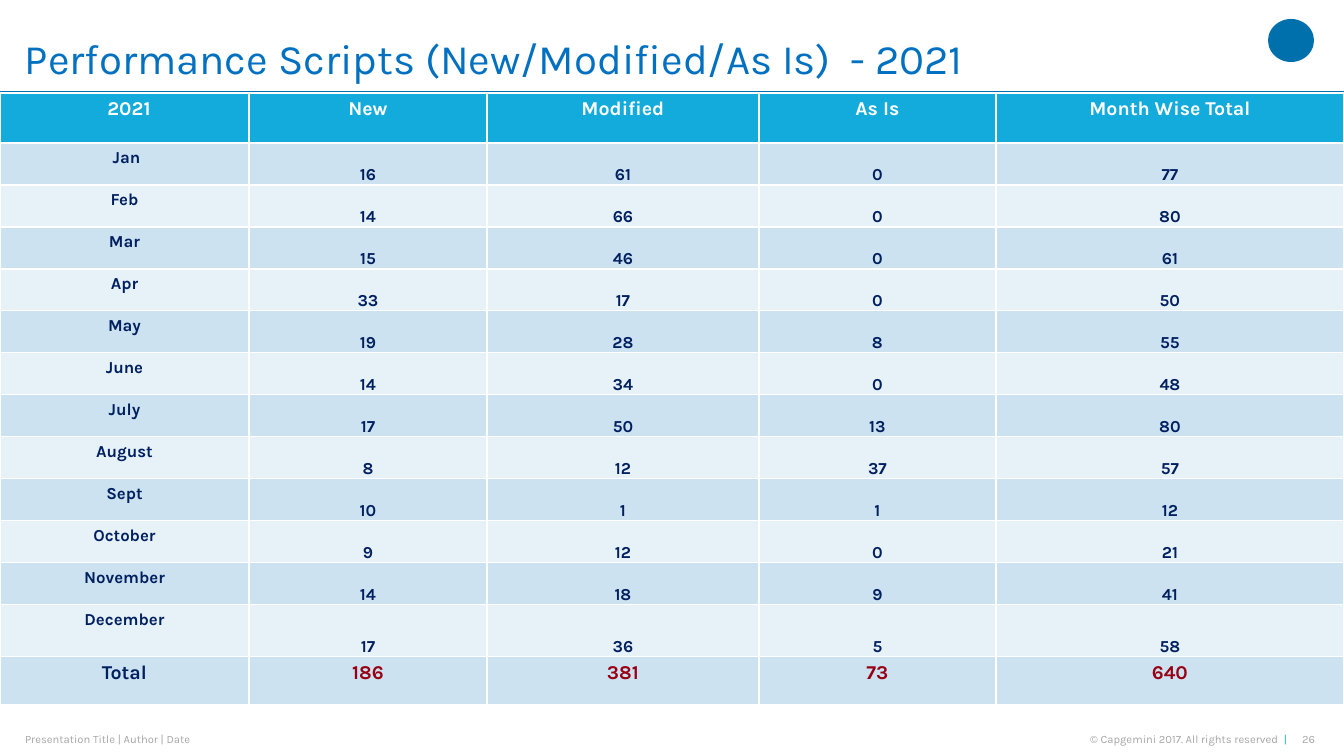
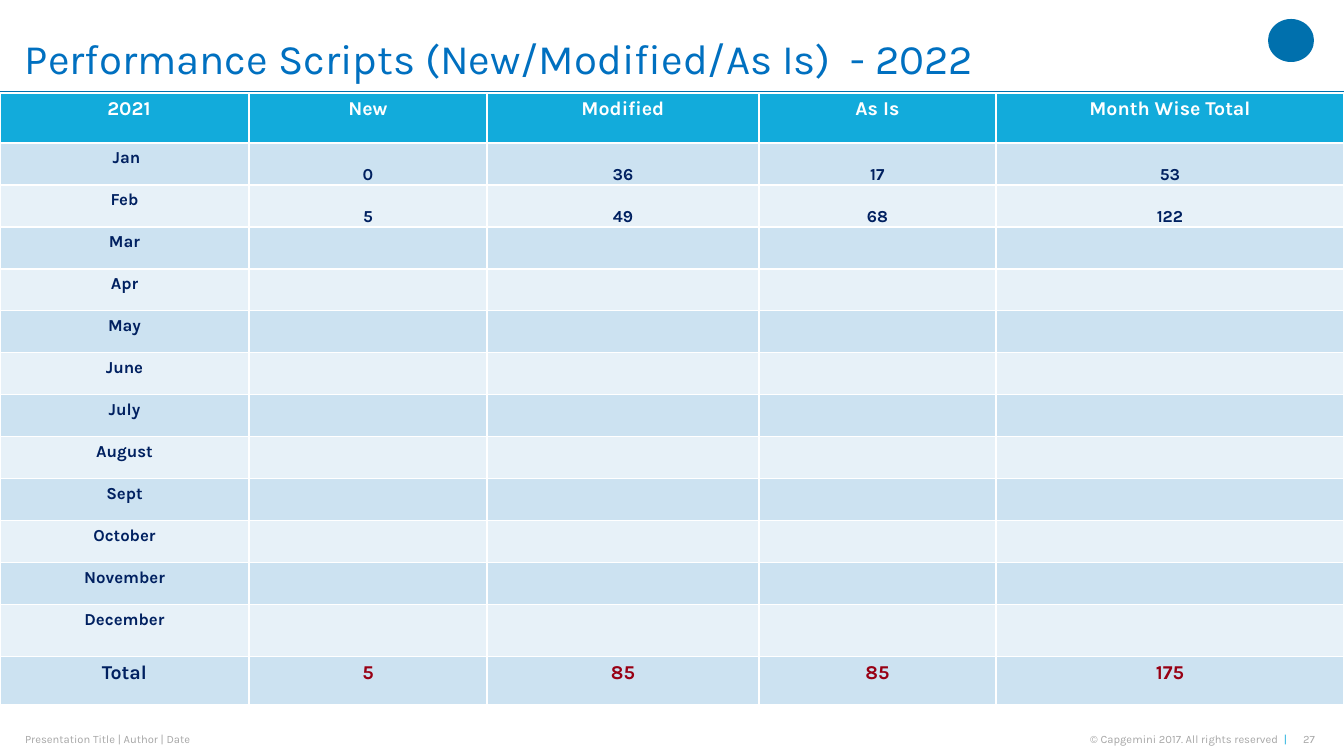
from dataclasses import dataclass

from lxml import etree
from pptx import Presentation
from pptx import util as u
from pptx.dml.color import RGBColor
from pptx.enum import shapes, text
from pptx.oxml import ns
from pptx.slide import Slide
from pptx.table import _Cell as Cell

# Scale and page
WIDTH, HEIGHT = 1344, 756
EMU_PER_PX = 12192000 / WIDTH

# Shared style
FONT = "Karla"
WHITE = RGBColor(0xFF, 0xFF, 0xFF)
CYAN = RGBColor(0x12, 0xAB, 0xDB)
BLUE = RGBColor(0x00, 0x70, 0xAD)
TITLE_BLUE = RGBColor(0x00, 0x70, 0xC0)
NAVY = RGBColor(0x00, 0x20, 0x60)
RED = RGBColor(0x98, 0x00, 0x14)
GREY = RGBColor(0xA6, 0xA6, 0xA6)
BANDS = (RGBColor(0xCC, 0xE2, 0xF1), RGBColor(0xE7, 0xF1, 0xF8))

# Table layout
RULE_TOP = 93
COLUMN_WIDTHS = (249, 238, 272, 237, 348)
HEADINGS = ("2021", "New", "Modified", "As Is", "Month Wise Total")
MONTHS = ("Jan", "Feb", "Mar", "Apr", "May", "June", "July", "August",
          "Sept", "October", "November", "December")
ROW_HEIGHTS = (50, *[42] * 11, 52, 48)


@dataclass(frozen=True)
class Span:
    words: str
    color: RGBColor


@dataclass(frozen=True)
class Label:
    left: int
    top: int
    width: int
    height: int
    spans: tuple[Span, ...]
    size: int = 8
    align: text.PP_ALIGN = text.PP_ALIGN.LEFT
    line_spacing: float = 1.0
    wrap: bool = True


@dataclass(frozen=True)
class CellStyle:
    size: int
    color: RGBColor
    margins: tuple[int, int, int, int] = (10, 5, 10, 5)
    anchor: text.MSO_ANCHOR = text.MSO_ANCHOR.TOP


@dataclass(frozen=True)
class YearReport:
    year: int
    page_number: int
    counts: tuple[tuple[int, int, int], ...]  # new, modified, as is


HEADING = CellStyle(14, WHITE)
FIRST_HEADING = CellStyle(14, WHITE, (19, 5, 10, 5))
MONTH = CellStyle(12, NAVY)
FIRST_MONTH = CellStyle(12, NAVY, (14, 5, 10, 5))
COUNT = CellStyle(12, NAVY, (1, 1, 1, 0), text.MSO_ANCHOR.BOTTOM)
TOTAL_NAME = CellStyle(14, NAVY)
TOTAL = CellStyle(14, RED)

REPORTS = (
    YearReport(2021, 26, (
        (16, 61, 0), (14, 66, 0), (15, 46, 0), (33, 17, 0),
        (19, 28, 8), (14, 34, 0), (17, 50, 13), (8, 12, 37),
        (10, 1, 1), (9, 12, 0), (14, 18, 9), (17, 36, 5))),
    YearReport(2022, 27, ((0, 36, 17), (5, 49, 68))),
)


def px(length: int) -> u.Emu:
    return u.Emu(round(length * EMU_PER_PX))


def add_label(page: Slide, label: Label) -> None:
    box = page.shapes.add_textbox(
        px(label.left), px(label.top), px(label.width), px(label.height))
    frame = box.text_frame
    frame.margin_left = frame.margin_top = 0
    frame.margin_right = frame.margin_bottom = 0
    frame.vertical_anchor = text.MSO_ANCHOR.MIDDLE
    frame.word_wrap = label.wrap
    para = frame.paragraphs[0]
    para.alignment = label.align
    para.line_spacing = label.line_spacing
    para.font.name = FONT
    para.font.size = u.Pt(label.size)
    for span in label.spans:
        run = para.add_run()
        run.text = span.words
        run.font.color.rgb = span.color


def add_frame(page: Slide, report: YearReport) -> None:
    """Draw the emblem, footer, title and rule shared by the slides."""
    emblem = page.shapes.add_shape(
        shapes.MSO_SHAPE.OVAL, px(1268), px(19), px(46), px(43))
    emblem.shadow.inherit = False
    emblem.fill.solid()
    emblem.fill.fore_color.rgb = BLUE
    emblem.line.fill.background()

    right = text.PP_ALIGN.RIGHT
    labels = (
        Label(1301, 733, 14, 13, (Span(str(report.page_number), GREY),),
              align=right, wrap=False),
        Label(994, 733, 293, 13,
              (Span("© Capgemini 2017. All rights reserved  ", GREY),
               Span("|", CYAN)), align=right),
        Label(25, 733, 520, 13,
              (Span("Presentation Title | Author | Date", GREY),)),
        Label(25, 0, 1227, 122,
              (Span("Performance Scripts (New/Modified/As Is)  - "
                    f"{report.year}", TITLE_BLUE),),
              size=30, line_spacing=0.9),
    )
    for label in labels:
        add_label(page, label)

    rule = page.shapes.add_connector(
        shapes.MSO_CONNECTOR.STRAIGHT, 0, px(RULE_TOP), px(WIDTH), px(RULE_TOP))
    rule.line.color.rgb = BLUE
    rule.line.width = u.Pt(2.25)
    etree.SubElement(rule._element.spPr, ns.qn("a:effectLst"))


def fill_cell(cell: Cell, words: str, style: CellStyle, fill: RGBColor) -> None:
    cell.fill.solid()
    cell.fill.fore_color.rgb = fill
    cell.vertical_anchor = style.anchor
    (cell.margin_left, cell.margin_top,
     cell.margin_right, cell.margin_bottom) = map(px, style.margins)
    para = cell.text_frame.paragraphs[0]
    para.alignment = text.PP_ALIGN.CENTER
    para.font.name = FONT
    para.font.size = u.Pt(style.size)
    para.font.bold = True
    para.font.color.rgb = style.color
    if words:
        para.add_run().text = words


def add_counts_table(page: Slide, report: YearReport) -> None:
    table = page.shapes.add_table(
        len(ROW_HEIGHTS), len(COLUMN_WIDTHS), 0, px(RULE_TOP),
        px(WIDTH), px(sum(ROW_HEIGHTS))).table
    table.horz_banding = False
    for column, width in zip(table.columns, COLUMN_WIDTHS):
        column.width = px(width)
    for row, height in zip(table.rows, ROW_HEIGHTS):
        row.height = px(height)

    # Row and column sums
    months = [(*counts, sum(counts)) for counts in report.counts]
    totals = [sum(column) for column in zip(*months)]
    months += [("",) * len(totals)] * (len(MONTHS) - len(months))
    rows = [HEADINGS, *((name, *counts) for name, counts in zip(MONTHS, months)),
            ("Total", *totals)]

    # Name style and value style of each row
    styles = [(FIRST_HEADING, HEADING), (FIRST_MONTH, COUNT),
              *[(MONTH, COUNT)] * (len(MONTHS) - 1), (TOTAL_NAME, TOTAL)]
    for r, (values, (name_style, value_style)) in enumerate(zip(rows, styles)):
        fill = BANDS[(r - 1) % 2] if r else CYAN
        for c, value in enumerate(values):
            style = value_style if c else name_style
            fill_cell(table.cell(r, c), str(value), style, fill)


def main() -> None:
    deck = Presentation()
    deck.slide_width, deck.slide_height = px(WIDTH), px(HEIGHT)
    blank = deck.slide_layouts[6]
    for report in REPORTS:
        page = deck.slides.add_slide(blank)
        add_frame(page, report)
        add_counts_table(page, report)
    deck.save("out.pptx")


if __name__ == "__main__":
    main()
